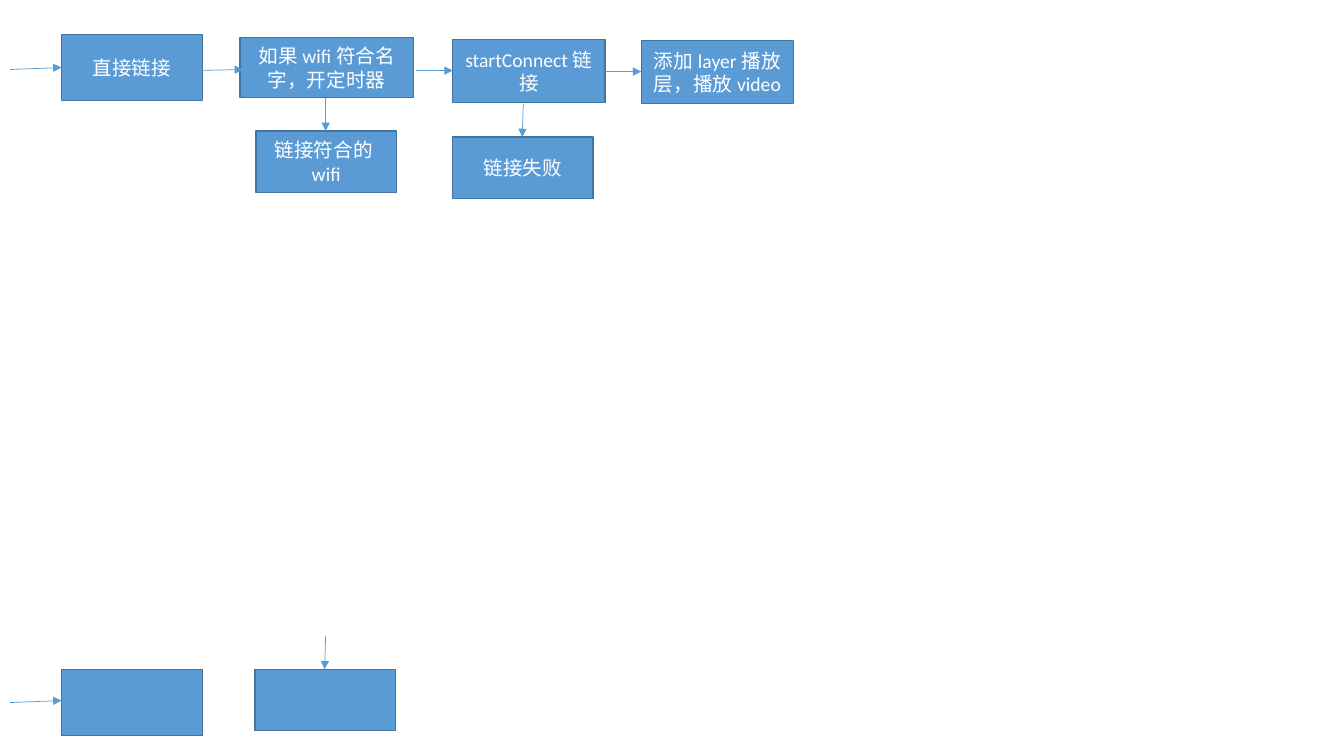
from dataclasses import dataclass

from lxml.etree import SubElement
from pptx import Presentation
from pptx.dml.color import RGBColor
from pptx.enum.shapes import MSO_CONNECTOR, MSO_SHAPE
from pptx.enum.text import MSO_ANCHOR, PP_ALIGN
from pptx.oxml.ns import qn
from pptx.slide import Slide
from pptx.util import Inches, Pt

COLORS = {"fill": "5B9BD5", "border": "43739E", "arrow": "5B9BD5", "text": "FFFFFF"}
FONT = "Calibri"


@dataclass
class Step:
    left: float
    top: float
    width: float
    height: float
    text: str = ""


@dataclass
class Arrow:
    start_x: float
    start_y: float
    end_x: float
    end_y: float


STEPS = [
    # Main flow
    Step(0.61, 0.34, 1.4, 0.66, "直接链接"),
    Step(2.38, 0.37, 1.72, 0.6, "如果wifi符合名字，开定时器"),
    Step(4.49, 0.39, 1.51, 0.63, "startConnect链接"),
    Step(6.36, 0.4, 1.51, 0.63, "添加layer播放层，播放video"),
    # Outcomes below the flow
    Step(2.54, 1.3, 1.39, 0.61, "链接符合的wifi"),
    Step(4.49, 1.36, 1.39, 0.61, "链接失败"),
    # Empty steps at the bottom
    Step(0.61, 6.64, 1.4, 0.66),
    Step(2.53, 6.64, 1.39, 0.61),
]

ARROWS = [
    # Along the main flow
    Arrow(0.1, 0.69, 0.61, 0.67),
    Arrow(1.9, 0.7, 2.41, 0.69),
    Arrow(4.13, 0.7, 4.49, 0.7),
    Arrow(6, 0.71, 6.36, 0.71),
    # Down to the outcomes
    Arrow(3.23, 0.97, 3.23, 1.3),
    Arrow(5.19, 1.03, 5.18, 1.36),
    # Into the empty steps
    Arrow(0.1, 6.97, 0.61, 6.95),
    Arrow(3.23, 6.31, 3.22, 6.64),
]


def color(name: str) -> RGBColor:
    return RGBColor.from_string(COLORS[name])


def draw_step(slide: Slide, step: Step) -> None:
    shape = slide.shapes.add_shape(
        MSO_SHAPE.RECTANGLE,
        Inches(step.left), Inches(step.top), Inches(step.width), Inches(step.height),
    )
    shape.shadow.inherit = False
    shape.fill.solid()
    shape.fill.fore_color.rgb = color("fill")
    shape.line.color.rgb = color("border")
    shape.line.width = Pt(1)
    if not step.text:
        return
    text_frame = shape.text_frame
    text_frame.text = step.text
    text_frame.word_wrap = True
    text_frame.vertical_anchor = MSO_ANCHOR.MIDDLE
    paragraph = text_frame.paragraphs[0]
    paragraph.alignment = PP_ALIGN.CENTER
    font = paragraph.runs[0].font
    font.name = FONT
    font.size = Pt(14)
    font.color.rgb = color("text")


def draw_arrow(slide: Slide, arrow: Arrow) -> None:
    connector = slide.shapes.add_connector(
        MSO_CONNECTOR.STRAIGHT,
        Inches(arrow.start_x), Inches(arrow.start_y),
        Inches(arrow.end_x), Inches(arrow.end_y),
    )
    connector.line.color.rgb = color("arrow")
    connector.line.width = Pt(0.5)
    properties = connector._element.spPr
    SubElement(properties.find(qn("a:ln")), qn("a:tailEnd"), type="triangle")
    SubElement(properties, qn("a:effectLst"))


presentation = Presentation()
presentation.slide_width = Inches(13.33)
presentation.slide_height = Inches(7.5)
blank_layout = presentation.slide_layouts[6]
slide = presentation.slides.add_slide(blank_layout)

for step in STEPS:
    draw_step(slide, step)
for arrow in ARROWS:
    draw_arrow(slide, arrow)

presentation.save("out.pptx")
